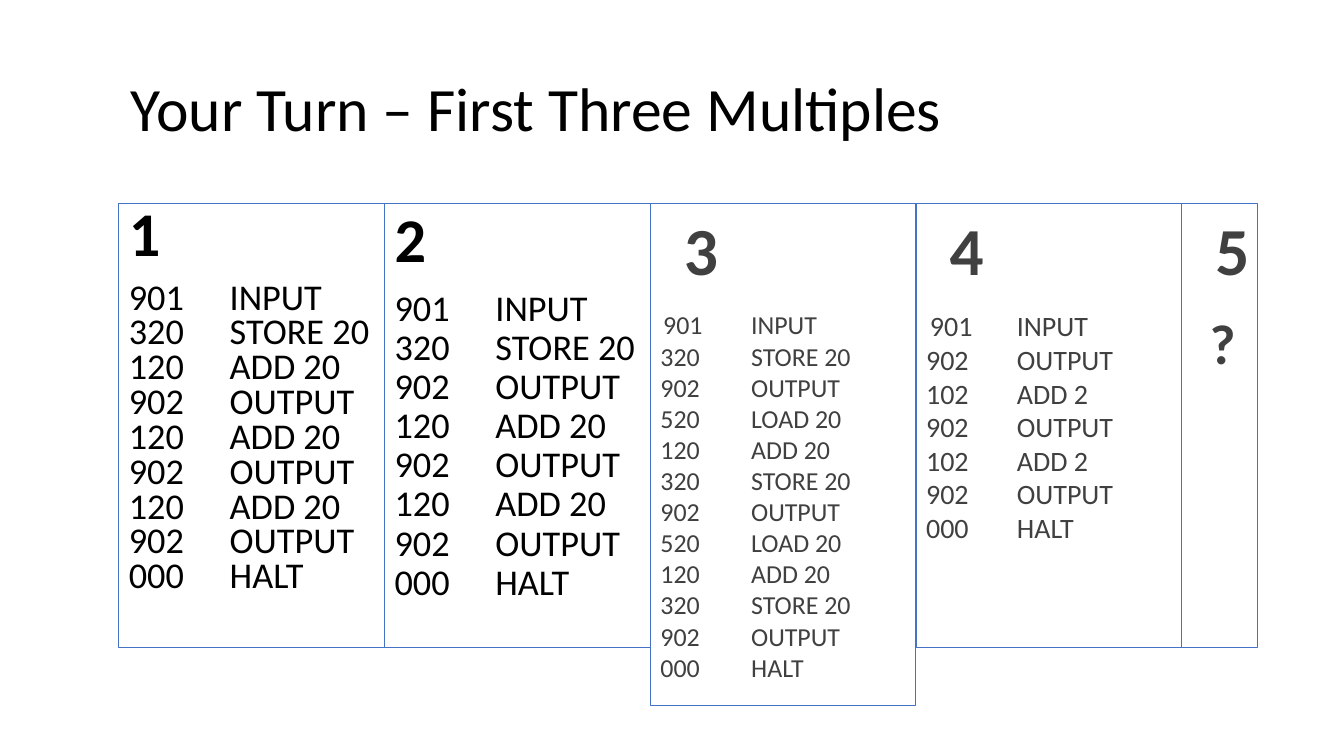
"""Build the slide that compares programs printing the first three multiples."""
from dataclasses import dataclass

from lxml import etree
from pptx import Presentation
from pptx.dml.color import RGBColor
from pptx.enum.shapes import MSO_SHAPE
from pptx.enum.text import MSO_ANCHOR, PP_ALIGN
from pptx.oxml.ns import qn
from pptx.util import Inches, Pt

RECTANGLE = MSO_SHAPE.RECTANGLE
TOP, MIDDLE = MSO_ANCHOR.TOP, MSO_ANCHOR.MIDDLE
LEFT = PP_ALIGN.LEFT

FONT = "Calibri"
BLACK, GREY, BLUE = "000000", "404040", "4472C4"
FIRST_LEFT, LAST_LEFT, COLUMN_TOP = 1.18, 11.72, 2.02
COLUMN_WIDTH = (LAST_LEFT - FIRST_LEFT) / 4

MNEMONICS = {
    "901": "INPUT",
    "902": "OUTPUT",
    "320": "STORE 20",
    "520": "LOAD 20",
    "120": "ADD 20",
    "102": "ADD 2",
    "000": "HALT",
}


@dataclass(frozen=True)
class Style:
    color: str
    before: float
    after: float = 0
    line_spacing: float = 1.0
    side_inset: float = 0.1
    hanging: bool = False


@dataclass(frozen=True)
class Column:
    heading: str
    heading_size: float
    body: str
    body_size: float
    style: Style
    body_bold: bool = False
    width: float = COLUMN_WIDTH
    height: float = 4.4


def listing(codes: str) -> str:
    return "\n".join(f"{code}\t{MNEMONICS[code]}" for code in codes.split())


TIGHT = Style(BLACK, before=10, line_spacing=0.8)
SNUG = Style(BLACK, before=10, line_spacing=0.9)
HANGING = Style(GREY, before=12, after=2, side_inset=0, hanging=True)

COLUMNS = [
    Column("1", 44.4, listing("901 320 120 902 120 902 120 902 000"), 25.9, TIGHT),
    Column("2", 44.4, listing("901 320 902 120 902 120 902 000"), 25.9, SNUG),
    Column("3", 48.1, listing("901 320 902 520 120 320 902 520 120 320 902 000"),
           18.5, HANGING, height=4.98),
    Column("4", 48, listing("901 902 102 902 102 902 000"), 20, HANGING),
    Column("5", 48, "?", 40, HANGING, body_bold=True, width=0.75),
]


def rgb(color: str) -> RGBColor:
    return RGBColor.from_string(color)


def add_hanging_bullet(para) -> None:
    properties = para._p.get_or_add_pPr()
    properties.set("marL", str(Inches(0.1)))
    properties.set("indent", str(-Inches(0.1)))
    bullet_color = etree.SubElement(properties, qn("a:buClr"))
    etree.SubElement(bullet_color, qn("a:srgbClr")).set("val", BLUE)
    etree.SubElement(properties, qn("a:buChar")).set("char", " ")


def add_tab_stop(para) -> None:
    stops = etree.SubElement(para._p.get_or_add_pPr(), qn("a:tabLst"))
    stop = etree.SubElement(stops, qn("a:tab"))
    stop.set("pos", str(Inches(1)))
    stop.set("algn", "l")


def write(para, text: str, *, size: float, color: str = BLACK, bold: bool = False,
          line_spacing: float = 1.0, before: float = 0, after: float = 0,
          hanging: bool = False) -> None:
    para.alignment = LEFT
    para.line_spacing = line_spacing
    para.space_before = Pt(before)
    para.space_after = Pt(after)
    if hanging:
        add_hanging_bullet(para)
    if "\t" in text:
        add_tab_stop(para)
    for number, line in enumerate(text.split("\n")):
        if number:
            para.add_line_break()
        span = para.add_run()
        span.text = line
        span.font.name = FONT
        span.font.size = Pt(size)
        span.font.bold = bold
        span.font.color.rgb = rgb(color)


def add_title(page) -> None:
    box = page.shapes.add_textbox(Inches(1.2), Inches(0.31), Inches(11.45), Inches(1.59))
    frame = box.text_frame
    frame.word_wrap = True
    frame.vertical_anchor = MIDDLE
    write(frame.paragraphs[0], "Your Turn – First Three Multiples", size=44, line_spacing=0.9)


def add_column(page, column: Column, left: float) -> None:
    box = page.shapes.add_shape(RECTANGLE, Inches(left), Inches(COLUMN_TOP),
                                Inches(column.width), Inches(column.height))
    box.shadow.inherit = False
    box.fill.background()
    box.line.color.rgb = rgb(BLUE)
    box.line.width = Pt(0.75)
    style = column.style
    frame = box.text_frame
    frame.word_wrap = True
    frame.vertical_anchor = TOP
    frame.margin_left = frame.margin_right = Inches(style.side_inset)
    shared = dict(color=style.color, line_spacing=style.line_spacing,
                  after=style.after, hanging=style.hanging)
    write(frame.paragraphs[0], column.heading, size=column.heading_size, bold=True, **shared)
    write(frame.add_paragraph(), column.body, size=column.body_size,
          bold=column.body_bold, before=style.before, **shared)


def main() -> None:
    deck = Presentation()
    deck.slide_width, deck.slide_height = Inches(13.33), Inches(7.5)
    page = deck.slides.add_slide(deck.slide_layouts[6])
    add_title(page)
    for position, column in enumerate(COLUMNS):
        add_column(page, column, FIRST_LEFT + position * COLUMN_WIDTH)
    deck.save("out.pptx")


if __name__ == "__main__":
    main()
